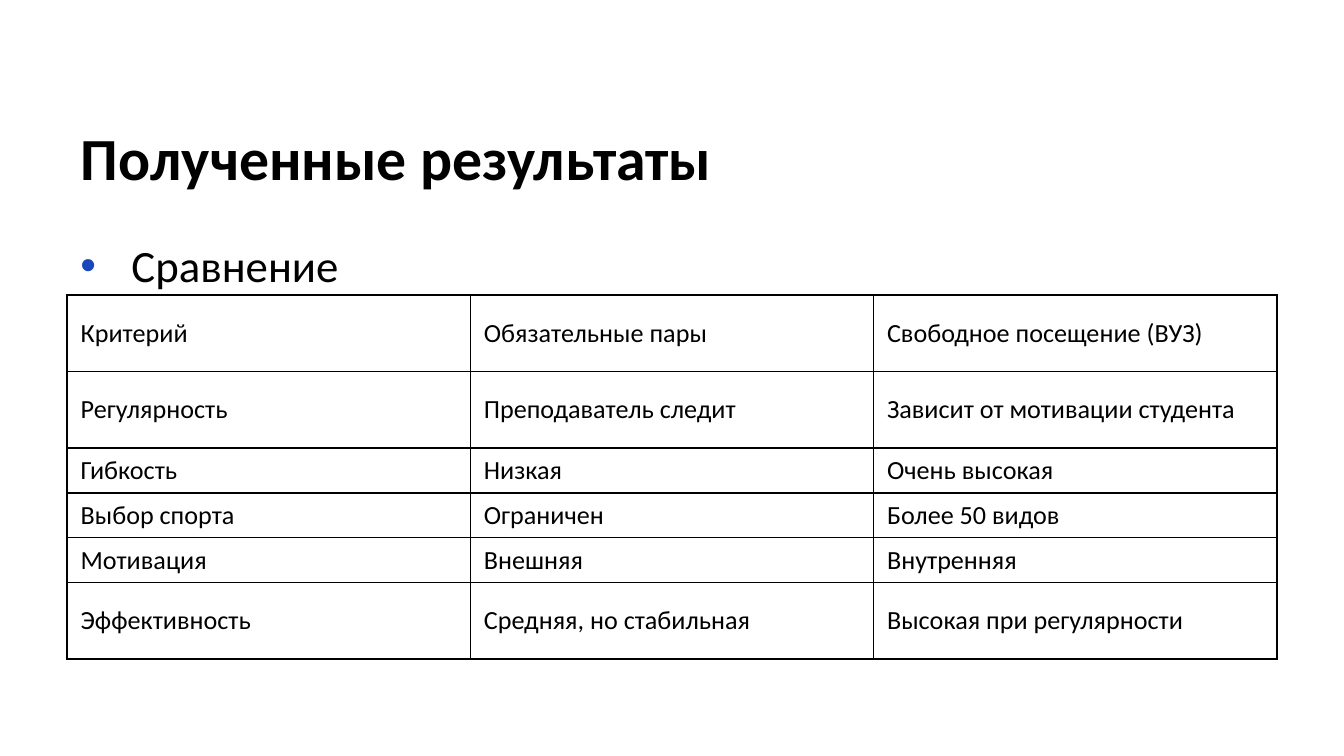
from dataclasses import dataclass

from lxml.etree import SubElement
from pptx import Presentation
from pptx.dml.color import RGBColor
from pptx.enum.text import MSO_ANCHOR, PP_ALIGN
from pptx.oxml.ns import qn
from pptx.util import Emu, Inches, Pt

COLORS = {"text": "000000", "bullet": "1946BA", "border": "000000", "page": "FFFFFF"}
FONT = "Calibri"
WIDTH = Inches(10)
HEIGHT = Emu(WIDTH * 9 // 16)  # widescreen
MARGIN = 0.05  # share of the slide's width
TALL, SHORT = 0.57, 0.33  # row heights in inches


@dataclass(frozen=True)
class Row:
    height: float
    texts: tuple[str, str, str]


ROWS = [
    Row(TALL, ("Критерий", "Обязательные пары", "Свободное посещение (ВУЗ)")),
    Row(TALL, ("Регулярность", "Преподаватель следит", "Зависит от мотивации студента")),
    Row(SHORT, ("Гибкость", "Низкая", "Очень высокая")),
    Row(SHORT, ("Выбор спорта", "Ограничен", "Более 50 видов")),
    Row(SHORT, ("Мотивация", "Внешняя", "Внутренняя")),
    Row(TALL, ("Эффективность", "Средняя, но стабильная", "Высокая при регулярности")),
]


def place(left: float, top: float, width: float, height: float) -> tuple[Emu, ...]:
    """Turn shares of the slide's size into lengths."""
    return (Emu(int(left * WIDTH)), Emu(int(top * HEIGHT)),
            Emu(int(width * WIDTH)), Emu(int(height * HEIGHT)))


def add_text(para, text: str, size: float, bold: bool = False) -> None:
    span = para.add_run()
    span.text = text
    span.font.name = FONT
    span.font.size = Pt(size)
    span.font.bold = bold
    span.font.color.rgb = RGBColor.from_string(COLORS["text"])


def add_bullet(para, indent: float) -> None:
    properties = para._p.get_or_add_pPr()
    properties.set("marL", str(Inches(indent)))
    properties.set("indent", str(-Inches(indent)))
    color = SubElement(properties, qn("a:buClr"))
    SubElement(color, qn("a:srgbClr"), val=COLORS["bullet"])
    SubElement(properties, qn("a:buFont"), typeface="Arial")
    SubElement(properties, qn("a:buChar"), char="•")


def add_borders(cell, width: float) -> None:
    properties = cell._tc.get_or_add_tcPr()
    for side in ("lnL", "lnR", "lnT", "lnB"):
        line = SubElement(properties, qn(f"a:{side}"), w=str(Pt(width)))
        fill = SubElement(line, qn("a:solidFill"))
        SubElement(fill, qn("a:srgbClr"), val=COLORS["border"])


def fill_cell(cell, text: str) -> None:
    add_borders(cell, 1)
    cell.fill.background()
    cell.vertical_anchor = MSO_ANCHOR.MIDDLE
    cell.margin_left = cell.margin_right = Inches(0.1)
    cell.margin_top = cell.margin_bottom = Inches(0.05)
    add_text(cell.text_frame.paragraphs[0], text, 14)


def add_comparison(page, rows: list[Row]) -> None:
    height = sum(row.height for row in rows) / HEIGHT.inches
    frame = page.shapes.add_table(len(rows), len(rows[0].texts),
                                  *place(MARGIN, 0.39, 1 - 2 * MARGIN, height))
    table = frame.table
    table.first_row = table.horz_banding = False
    for index, row in enumerate(rows):
        table.rows[index].height = Inches(row.height)
        for column, text in enumerate(row.texts):
            fill_cell(table.cell(index, column), text)


def main() -> None:
    deck = Presentation()
    deck.slide_width, deck.slide_height = WIDTH, HEIGHT
    page = deck.slides.add_slide(deck.slide_layouts[5])
    page.background.fill.solid()
    page.background.fill.fore_color.rgb = RGBColor.from_string(COLORS["page"])

    # Title
    title = page.shapes.title
    title.left, title.top, title.width, title.height = place(MARGIN, 0.146, 0.686, 0.121)
    title.text_frame.vertical_anchor = MSO_ANCHOR.MIDDLE
    para = title.text_frame.paragraphs[0]
    para.alignment = PP_ALIGN.LEFT
    add_text(para, "Полученные результаты", 32, bold=True)

    # Bulleted lead-in
    box = page.shapes.add_textbox(*place(MARGIN, 0.306, 0.891, 0.555))
    box.text_frame.word_wrap = True
    para = box.text_frame.paragraphs[0]
    para.space_before = Pt(4.8)
    add_bullet(para, 0.38)
    add_text(para, "Сравнение", 24)

    # Comparison table
    add_comparison(page, ROWS)

    deck.save("out.pptx")


if __name__ == "__main__":
    main()
